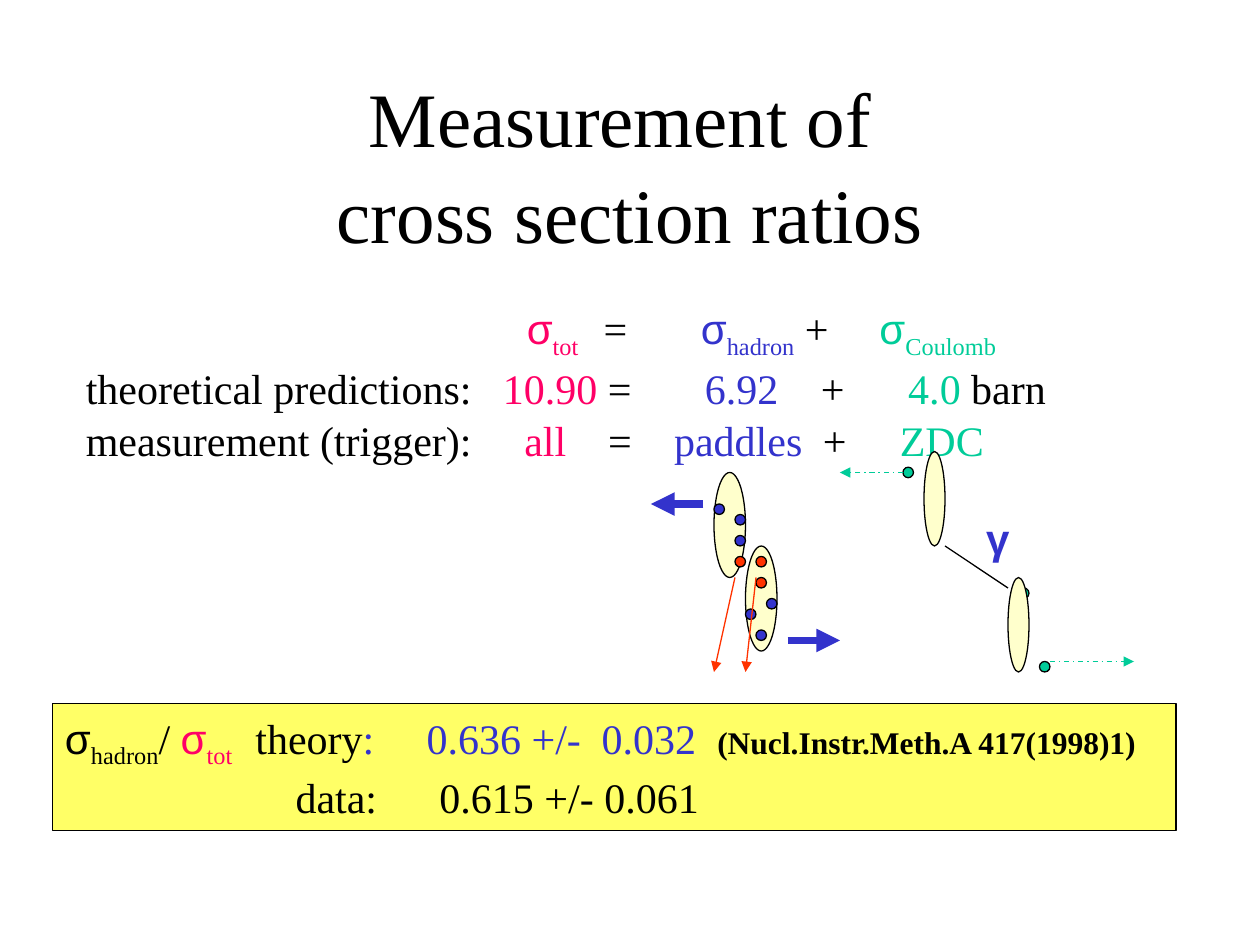
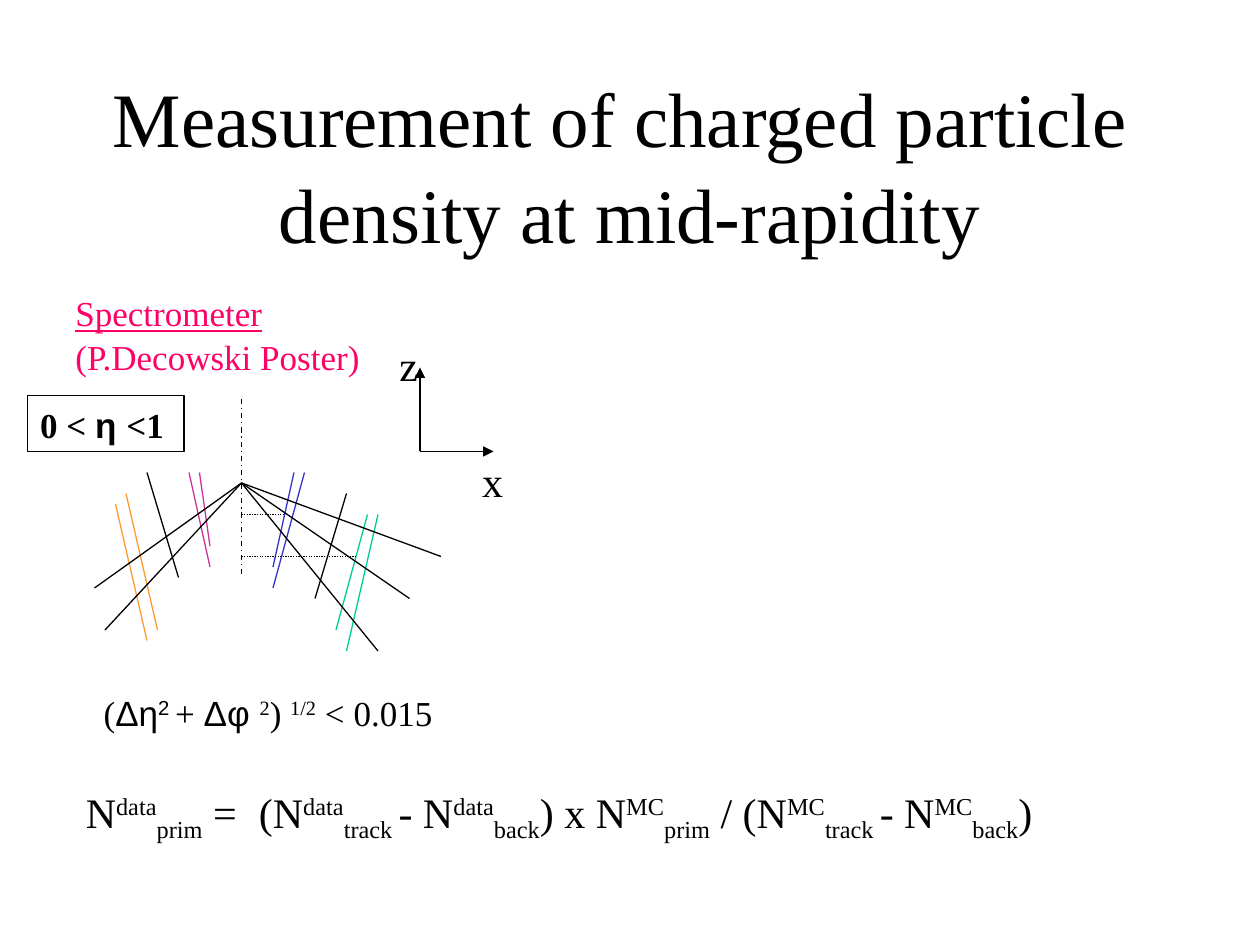
"""Build two slides on cross section ratios and charged particle density."""
from lxml import etree
from pptx import Presentation
from pptx.dml.color import RGBColor
from pptx.enum.dml import MSO_LINE
from pptx.enum.shapes import MSO_CONNECTOR, MSO_SHAPE
from pptx.enum.text import MSO_ANCHOR, MSO_AUTO_SIZE, PP_ALIGN
from pptx.oxml.ns import qn
from pptx.util import Cm, Pt

OVAL, RECT = MSO_SHAPE.OVAL, MSO_SHAPE.RECTANGLE
STRAIGHT = MSO_CONNECTOR.STRAIGHT
DASH, DOTS = MSO_LINE.DASH_DOT, MSO_LINE.ROUND_DOT
TOP, MIDDLE = MSO_ANCHOR.TOP, MSO_ANCHOR.MIDDLE
LEFT, CENTER = PP_ALIGN.LEFT, PP_ALIGN.CENTER
FIXED = MSO_AUTO_SIZE.NONE
SERIF, SANS = "Times New Roman", "Arial"
SUB, SUP = -25000, 30000
STEP = 2.54 / 12
HEX = {
    "black": "000000", "pink": "FF0066", "blue": "3333CC", "green": "00CC99",
    "red": "FF3300", "cream": "FFFFCC", "yellow": "FFFF66",
    "plum": "CC3399", "orange": "FF9933",
}
INK = {name: RGBColor.from_string(code) for name, code in HEX.items()}


def write(shape, rows, size, stops=(), ink="black", bold=False, wrap=False,
          anchor=TOP, align=LEFT):
    """Fill a shape with rows of (text, colour, baseline, font) runs."""
    frame = shape.text_frame
    frame.word_wrap, frame.auto_size = wrap, FIXED
    frame.vertical_anchor = anchor
    frame.margin_left = frame.margin_right = Cm(0.25)
    frame.margin_top = frame.margin_bottom = Cm(0.13)
    for n, row in enumerate(rows):
        para = frame.paragraphs[0] if n == 0 else frame.add_paragraph()
        para.alignment, para.line_spacing = align, 1.04
        if stops:
            tabs = etree.SubElement(para._p.get_or_add_pPr(), qn("a:tabLst"))
            for stop in stops[n]:
                etree.SubElement(tabs, qn("a:tab"), pos=str(Cm(stop)), algn="l")
        para.font.size, para.font.bold = Pt(size), bold
        for text, *look in row:
            tint, base, face = (look + [None] * 3)[:3]
            greek = any("Α" <= sign <= "ω" for sign in text)
            run = para.add_run()
            run.text = text
            run.font.name = face or (SANS if greek else SERIF)
            run.font.color.rgb = INK[tint or ink]
            if base:
                run._r.get_or_add_rPr().set("baseline", str(base))


def draw(slide, ends, ink="black", width=0.75, dash=None, tip=False):
    """Draw a line whose ends are given in grid steps."""
    line = slide.shapes.add_connector(STRAIGHT, *[Cm(n * STEP) for n in ends])
    line.line.color.rgb, line.line.width = INK[ink], Pt(width)
    if dash:
        line.line.dash_style = dash
    if tip:
        etree.SubElement(line.line._get_or_add_ln(), qn("a:tailEnd"), type="triangle")
    etree.SubElement(line._element.spPr, qn("a:effectLst"))


deck = Presentation()
deck.slide_width, deck.slide_height = Cm(25.4), Cm(19.05)
titles = [
    ("Measurement of ", "cross section ratios"),
    ("Measurement of charged particle ", "density at mid-rapidity"),
]
pages = []
for first, last in titles:
    page = deck.slides.add_slide(deck.slide_layouts[5])
    head = page.shapes.title
    head.left, head.top, head.width, head.height = Cm(1.9), Cm(1.7), Cm(21.6), Cm(3.18)
    write(head, [[(first,)]], 44, wrap=True, anchor=MIDDLE, align=CENTER)
    para = head.text_frame.paragraphs[0]
    para.add_line_break()
    run = para.add_run()
    run.text = last
    run.font.name, run.font.color.rgb = SERIF, INK["black"]
    pages.append(page)
ratio, track = pages

sums = ratio.shapes.add_textbox(Cm(1.48), Cm(5.93), Cm(23.28), Cm(3.45))
write(sums, [
    [("\t",), ("σ", "pink"), ("tot", "pink", SUB), ("\t=\t",),
     ("σ", "blue"), ("hadron", "blue", SUB), (" +\t",),
     ("σ", "green"), ("Coulomb", "green", SUB)],
    [("theoretical predictions:\t",), ("10.90", "pink"), (" =\t",),
     ("6.92", "blue"), ("\t+\t",), ("4.0", "green"), (" barn",)],
    [("measurement (trigger):\t",), ("all", "pink"), ("\t=\t",),
     ("paddles", "blue"), ("\t+\t",), ("ZDC", "green")],
], 24, [(8.89, 10.44, 12.4, 16), (8.41, 12.48, 14.82, 16.58),
        (8.84, 10.53, 11.86, 14.86, 16.41)], wrap=True)

panel = ratio.shapes.add_shape(RECT, Cm(1.06), Cm(14.18), Cm(22.65), Cm(2.57))
panel.shadow.inherit = False
panel.fill.solid()
panel.fill.fore_color.rgb = INK["yellow"]
panel.line.color.rgb, panel.line.width = INK["black"], Pt(0.75)
write(panel, [
    [("σ",), ("hadron", "black", SUB), ("/ ",), ("σ", "pink"), ("tot", "pink", SUB),
     ("\ttheory",), (":\t0.636 +/-\t0.032\t", "blue"),
     ("(Nucl.Instr.Meth.A 417(1998)1)",)],
    [("\tdata:\t0.615 +/- 0.061",)],
], 24, [(3.84, 7.29, 10.82, 13.15), (4.65, 7.55)], wrap=True)
cite = panel.text_frame.paragraphs[0].runs[-1].font
cite.size, cite.bold = Pt(18), True

gamma = ratio.shapes.add_textbox(Cm(19.63), Cm(10.16), Cm(0.99), Cm(1.27))
write(gamma, [[("γ",)]], 24, ink="blue", bold=True)

ovals = [(68, 45, 3, 10, "cream"), (71, 52, 3, 10, "cream")]
balls = {
    "blue": [(68, 48), (70, 49), (70, 51), (72, 60), (73, 57), (71, 58)],
    "red": [(72, 53), (72, 55), (70, 53)],
    "green": [(97, 56), (86, 44.5), (99, 63)],
}
ovals += [(x, y, 1, 1, ink) for ink, spots in balls.items() for x, y in spots]
ovals += [(96, 55, 2, 9, "cream"), (88, 43, 2, 9, "cream")]
for *place, ink in ovals:
    oval = ratio.shapes.add_shape(OVAL, *[Cm(n * STEP) for n in place])
    oval.shadow.inherit = False
    oval.fill.solid()
    oval.fill.fore_color.rgb = INK[ink]
    oval.line.color.rgb, oval.line.width = INK["black"], Pt(0.75)

for ends in [(100, 63, 108, 63), (86, 45, 80, 45)]:
    draw(ratio, ends, "green", dash=DASH, tip=True)
for ends in [(67, 48, 62, 48), (75, 61, 80, 61)]:
    draw(ratio, ends, "blue", width=4.5, tip=True)
for ends in [(70, 55, 68, 64), (72, 55, 71, 64)]:
    draw(ratio, ends, "red", tip=True)
draw(ratio, (90, 52, 96, 56))

count = track.shapes.add_textbox(Cm(1.48), Cm(15.67), Cm(19.61), Cm(1.42))
parts = [
    ("N", "data", "prim"), (" =\t(N", "data", "track "), ("- N", "data", "back"),
    (") x N", "MC", "prim"), (" / (N", "MC", "track "), ("- N", "MC", "back"),
]
runs = []
for text, high, low in parts:
    runs += [(text,), (high, "black", SUP), (low, "black", SUB)]
write(count, [runs + [(")",)]], 24, [(3.49,)])

planes = {
    "blue": [(28, 45, 26, 54), (29, 45, 26, 56)],
    "green": [(35, 49, 32, 60), (36, 49, 33, 62)],
    "plum": [(19, 45, 20, 52), (18, 45, 20, 54)],
    "orange": [(12, 47, 15, 60), (11, 48, 14, 61)],
    "black": [(33, 47, 30, 57), (14, 45, 17, 55)],
}
for ink, group in planes.items():
    for ends in group:
        draw(track, ends, ink)
for end in [(36, 62), (39, 57), (42, 53), (10, 60), (9, 56)]:
    draw(track, (23, 46, *end))
draw(track, (23, 38, 23, 55), dash=DASH)
for ends in [(23, 49, 27, 49), (23, 53, 34, 53)]:
    draw(track, ends, dash=DOTS)
for end in [(40, 35), (47, 43)]:
    draw(track, (40, 43, *end), tip=True)
for name, left, top in [("z", 7.8, 6.68), ("x", 9.47, 9.02)]:
    label = track.shapes.add_textbox(Cm(left), Cm(top), Cm(0.9), Cm(1.27))
    write(label, [[(name,)]], 24)

topic = track.shapes.add_textbox(Cm(1.27), Cm(5.72), Cm(6.32), Cm(1.96))
write(topic, [[("Spectrometer",)], [("(P.Decowski Poster)",)]], 20, ink="pink")
topic.text_frame.paragraphs[0].font.underline = True

cut = track.shapes.add_textbox(Cm(1.48), Cm(13.77), Cm(8.46), Cm(2.34))
write(cut, [[
    ("(",), ("Δη",), ("2 ", "black", SUP, SANS), ("+ ",), ("Δφ ",),
    ("2", "black", SUP), (") ",), ("1/2", "black", SUP), (" < 0.015",),
]], 20)
cut.text_frame.margin_left = Cm(0.61)

span = track.shapes.add_shape(RECT, Cm(0.56), Cm(7.98), Cm(3.15), Cm(1.12))
span.shadow.inherit = False
span.fill.background()
span.line.color.rgb, span.line.width = INK["black"], Pt(0.75)
write(span, [[("0 < ",), ("η ",), ("<1",)]], 20, bold=True)

deck.save("out.pptx")
